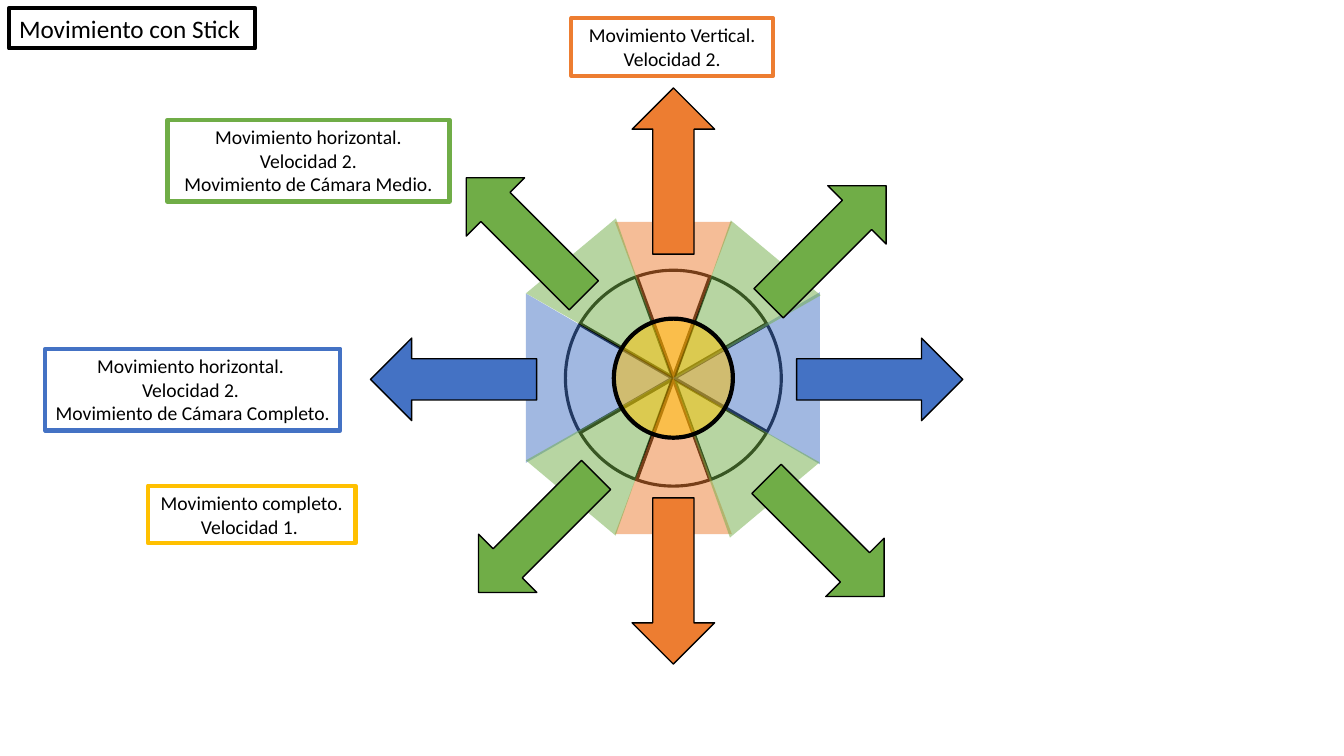
"""Build a slide that maps stick directions to movement types."""
import pptx
import pptx.util
import pptx.dml.color
import pptx.enum.shapes
import pptx.enum.text
import pptx.oxml
import pptx.oxml.ns

Cm = pptx.util.Cm
Pt = pptx.util.Pt
Kind = pptx.enum.shapes.MSO_SHAPE
Align = pptx.enum.text.PP_ALIGN

COLOURS = {
    "black": "000000",
    "white": "FFFFFF",
    "orange": "ED7D31",
    "blue": "4472C4",
    "green": "70AD47",
    "yellow": "FFC000",
}
FONT = {"name": "Calibri", "bold": False}
FRAME = {
    "word_wrap": True,
    "auto_size": pptx.enum.text.MSO_AUTO_SIZE.NONE,
    "vertical_anchor": pptx.enum.text.MSO_ANCHOR.TOP,
    "margin_left": Cm(0.25),
    "margin_right": Cm(0.25),
    "margin_top": Cm(0.13),
    "margin_bottom": Cm(0.13),
}
CENTRE_X, CENTRE_Y = 16.97, 9.53
SECTOR = (2.95, 3.94)
ARROW = (2.08, 4.19)
SPOKES = [(0.93, 2.55), (0.93, -2.55), (2.35, 1.36), (2.35, -1.36)]
SECTORS = [
    ("orange", CENTRE_X, 11.49, SECTOR, 0),
    ("orange", CENTRE_X, 7.56, SECTOR, 180),
    ("blue", 18.81, CENTRE_Y, (4.34, 3.71), 270),
    ("blue", 15.09, CENTRE_Y, (4.27, 3.68), 90),
    ("green", 15.65, 11.04, SECTOR, 40),
    ("green", 15.65, 7.96, SECTOR, 140.2),
    ("green", 18.26, 11.09, SECTOR, 320),
    ("green", 18.29, 8.01, SECTOR, 219.8),
]
ARROWS = [
    ("orange", CENTRE_X, 4.31, 180),
    ("orange", CENTRE_X, 14.64, 0),
    ("blue", 11.43, 9.56, 90),
    ("blue", 22.17, 9.56, 270),
    ("green", 20.85, 6.16, 225),
    ("green", 13.54, 13.45, 45),
    ("green", 13.23, 5.96, 135),
    ("green", 20.8, 13.55, 315),
]
LABELS = [
    ("orange", (14.4, 0.46, 5.08, 1.45), ["Movimiento Vertical.", "Velocidad 2."]),
    ("blue", (1.14, 8.79, 7.44, 2.06),
     ["Movimiento horizontal. ", "Velocidad 2. ", "Movimiento de Cámara Completo."]),
    ("green", (4.22, 3.02, 7.11, 2.06),
     ["Movimiento horizontal.", "Velocidad 2.", "Movimiento de Cámara Medio."]),
    ("yellow", (3.73, 12.24, 5.23, 1.45), ["Movimiento completo. Velocidad 1. "]),
]


def colour(name):
    """Return the named colour."""
    return pptx.dml.color.RGBColor.from_string(COLOURS[name])


def apply_format(target, values):
    """Set each format value on the target."""
    for name, value in values.items():
        setattr(target, name, value)


def outline(item, name, width):
    """Give an item a solid line."""
    item.line.color.rgb = colour(name)
    item.line.width = Pt(width)


def make_half_transparent(shape):
    """Set the solid fill of a shape to half opacity."""
    fill_colour = shape.fill._xPr.find(".//" + pptx.oxml.ns.qn("a:srgbClr"))
    fill_colour.append(pptx.oxml.parse_xml(
        f'<a:alpha {pptx.oxml.ns.nsdecls("a")} val="50000"/>'))


def add_piece(page, kind, fill, centre, size, rotation=0, line=None, sheer=False):
    """Add a filled shape around its centre."""
    (x, y), (width, height) = centre, size
    shape = page.shapes.add_shape(
        kind, Cm(x - width / 2), Cm(y - height / 2), Cm(width), Cm(height))
    shape.shadow.inherit = False
    shape.rotation = rotation
    shape.fill.solid()
    shape.fill.fore_color.rgb = colour(fill)
    if sheer:
        make_half_transparent(shape)
    if line:
        outline(shape, "black", line)
    else:
        shape.line.fill.background()


def add_spoke(page, reach_x, reach_y):
    """Add a line across the stick circle."""
    spoke = page.shapes.add_connector(
        pptx.enum.shapes.MSO_CONNECTOR.STRAIGHT,
        Cm(CENTRE_X - reach_x), Cm(CENTRE_Y - reach_y),
        Cm(CENTRE_X + reach_x), Cm(CENTRE_Y + reach_y))
    outline(spoke, "black", 3)
    spoke._element.spPr.append(pptx.oxml.parse_xml(
        f'<a:effectLst {pptx.oxml.ns.nsdecls("a")}/>'))


def write_box(box, lines, size, alignment, border):
    """Write and format the text of a bordered box."""
    outline(box, border, 3)
    apply_format(box.text_frame, FRAME)
    box.text_frame.text = "\n".join(lines)
    for para in box.text_frame.paragraphs:
        para.alignment = alignment
        for span in para.runs:
            apply_format(span.font, {**FONT, "size": Pt(size)})
            span.font.color.rgb = colour("black")


def add_title(page):
    """Place the slide title in the corner."""
    title = page.shapes.title
    apply_format(title, {"left": Cm(0.23), "top": Cm(0.2),
                         "width": Cm(6.2), "height": Cm(1.02)})
    write_box(title, ["Movimiento con Stick"], 18, Align.LEFT, "black")


def add_label(page, border, place, lines):
    """Add a centred label with a coloured border."""
    box = page.shapes.add_textbox(*map(Cm, place))
    write_box(box, lines, 14, Align.CENTER, border)


def main():
    """Build and save the deck."""
    deck = pptx.Presentation()
    apply_format(deck, {"slide_width": Cm(33.87), "slide_height": Cm(19.05)})
    page = deck.slides.add_slide(deck.slide_layouts.get_by_name("Title Only"))
    add_title(page)
    centre = (CENTRE_X, CENTRE_Y)
    add_piece(page, Kind.OVAL, "white", centre, (5.44, 5.44), line=2.25)
    for reach in SPOKES:
        add_spoke(page, *reach)
    for fill, x, y, size, rotation in SECTORS:
        add_piece(page, Kind.ISOSCELES_TRIANGLE, fill, (x, y), size, rotation, sheer=True)
    for fill, x, y, rotation in ARROWS:
        add_piece(page, Kind.DOWN_ARROW, fill, (x, y), ARROW, rotation, line=1)
    add_piece(page, Kind.OVAL, "yellow", centre, (3, 3), line=3, sheer=True)
    for label in LABELS:
        add_label(page, *label)
    deck.save("out.pptx")


if __name__ == "__main__":
    main()
